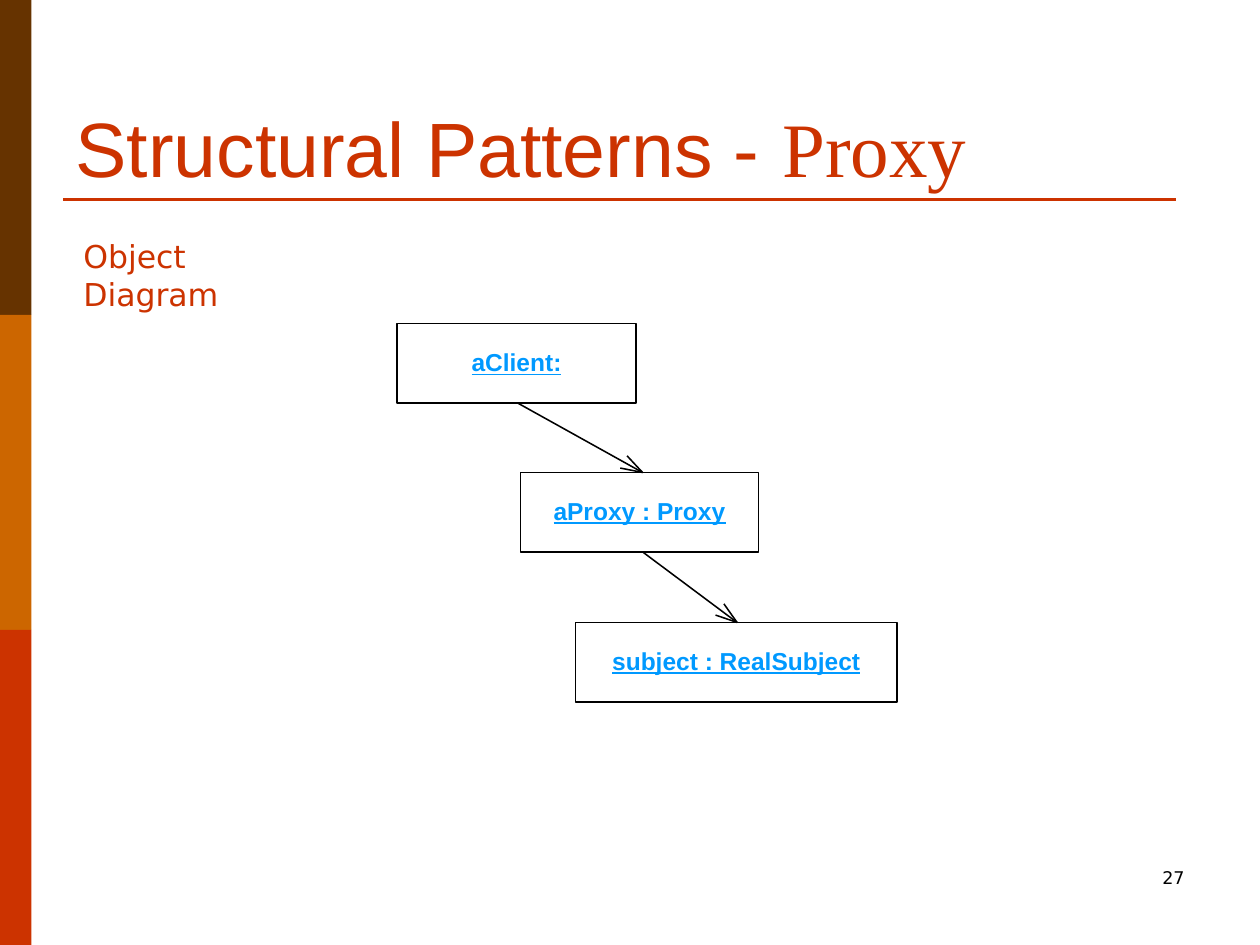
import math

from lxml import etree
from pptx import Presentation
from pptx.dml.color import RGBColor
from pptx.enum.shapes import MSO_CONNECTOR, MSO_SHAPE
from pptx.enum.text import MSO_ANCHOR, MSO_AUTO_SIZE, PP_ALIGN
from pptx.oxml.ns import qn
from pptx.util import Pt

RECTANGLE = MSO_SHAPE.RECTANGLE
STRAIGHT = MSO_CONNECTOR.STRAIGHT
LEFT, CENTER, RIGHT = PP_ALIGN.LEFT, PP_ALIGN.CENTER, PP_ALIGN.RIGHT
TOP, MIDDLE, BOTTOM = MSO_ANCHOR.TOP, MSO_ANCHOR.MIDDLE, MSO_ANCHOR.BOTTOM
NO_FIT = MSO_AUTO_SIZE.NONE

RED, BLACK, WHITE, BLUE = "CC3300", "000000", "FFFFFF", "0099FF"
BAND_COLORS = ["663300", "CC6600", RED]
OUTLINE = 0.88
HEAD_LENGTH = 13
HEAD_ANGLE = math.radians(18)

TITLE_FONT = {"name": "Arial", "size": Pt(44)}
PROXY_FONT = {"name": "Times New Roman", "size": Pt(44)}
CAPTION_FONT = {"name": "DejaVu Sans", "size": Pt(18)}
NUMBER_FONT = {"name": "DejaVu Sans", "size": Pt(10)}
OBJECT_FONT = {"name": "Arial", "size": Pt(14), "bold": True, "underline": True}

OBJECTS = [
    ("aClient:", (226.8, 185, 136.8, 45.4)),
    ("aProxy : Proxy", (297.4, 270, 136.1, 45.4)),
    ("subject : RealSubject", (329, 355.7, 183.6, 45.4)),
]
ARROWS = [
    ((296, 230.4), (367.2, 270)),
    ((367.2, 315.4), (421.2, 355.7)),
]


def paint(target, color):
    """Give a fill or line format a solid colour."""
    target.solid()
    target.fore_color.rgb = RGBColor.from_string(color)


def points(values):
    """Convert a sequence of numbers to lengths in points."""
    return [Pt(value) for value in values]


def write(frame, spans, color, align=LEFT, anchor=TOP, wrap=True):
    """Write formatted spans as the single paragraph of a text frame."""
    settings = {"word_wrap": wrap, "auto_size": NO_FIT, "vertical_anchor": anchor}
    for name, value in settings.items():
        setattr(frame, name, value)
    para = frame.paragraphs[0]
    para.alignment = align
    for text, style in spans:
        span = para.add_run()
        span.text = text
        for name, value in style.items():
            setattr(span.font, name, value)
        span.font.color.rgb = RGBColor.from_string(color)


def add_box(page, area, fill):
    """Add a plain filled rectangle without an outline."""
    box = page.shapes.add_shape(RECTANGLE, *points(area))
    box.shadow.inherit = False
    paint(box.fill, fill)
    box.line.fill.background()
    return box


def add_line(page, start, end, color, width):
    """Add a straight connector without a shadow."""
    line = page.shapes.add_connector(STRAIGHT, *points(start + end))
    paint(line.line.fill, color)
    line.line.width = Pt(width)
    etree.SubElement(line._element.spPr, qn("a:effectLst"))


def add_side_bands(page, area):
    """Stack the coloured bands evenly down the given area."""
    left, top, width, height = area
    step = height / len(BAND_COLORS)
    for index, color in enumerate(BAND_COLORS):
        add_box(page, (left, top + index * step, width, step), color)


def add_title(page, area):
    """Place the title and the rule beneath it."""
    left, top, width, height = area
    title = page.shapes.title
    title.left, title.top, title.width, title.height = points(area)
    spans = [("Structural Patterns - ", TITLE_FONT), ("Proxy", PROXY_FONT)]
    write(title.text_frame, spans, RED, anchor=BOTTOM)
    base = top + height
    add_line(page, (left, base), (left + width + 24, base), RED, 1.5)


def add_text(page, area, text, style, color, align=LEFT):
    """Add a wrapping text box."""
    box = page.shapes.add_textbox(*points(area))
    write(box.text_frame, [(text, style)], color, align)


def add_object(page, area, name):
    """Add an outlined object box with its underlined name."""
    box = add_box(page, area, WHITE)
    paint(box.line.fill, BLACK)
    box.line.width = Pt(OUTLINE)
    frame = box.text_frame
    insets = {"margin_left": 0, "margin_top": 0, "margin_right": 0, "margin_bottom": 2}
    for side, value in insets.items():
        setattr(frame, side, Pt(value))
    write(frame, [(name, OBJECT_FONT)], BLUE, CENTER, MIDDLE, wrap=False)


def add_arrow(page, start, end):
    """Add a line that ends in a large open arrowhead."""
    add_line(page, start, end, BLACK, OUTLINE)
    angle = math.atan2(end[1] - start[1], end[0] - start[0])
    barbs = [
        (end[0] - HEAD_LENGTH * math.cos(angle + turn),
         end[1] - HEAD_LENGTH * math.sin(angle + turn))
        for turn in (-HEAD_ANGLE, HEAD_ANGLE)
    ]
    builder = page.shapes.build_freeform(*points(barbs[0]))
    builder.add_line_segments([points(end), points(barbs[1])], close=False)
    head = builder.convert_to_shape()
    head.shadow.inherit = False
    head.fill.background()
    paint(head.line.fill, BLACK)
    head.line.width = Pt(OUTLINE)


def add_diagram(page):
    """Draw the objects and the references between them."""
    for name, area in OBJECTS:
        add_object(page, area, name)
    for start, end in ARROWS:
        add_arrow(page, start, end)


def main():
    """Build the slide and save the deck."""
    deck = Presentation()
    deck.slide_width, deck.slide_height = Pt(720), Pt(540)
    page = deck.slides.add_slide(deck.slide_layouts[5])
    paint(page.background.fill, WHITE)
    add_side_bands(page, (0, 0, 18, 540))
    add_title(page, (36, 42, 612, 72))
    add_text(page, (516, 492, 168, 36), "27", NUMBER_FONT, BLACK, RIGHT)
    add_text(page, (40.5, 132, 147.6, 28.8), "Object Diagram", CAPTION_FONT, RED)
    add_diagram(page)
    deck.save("out.pptx")


if __name__ == "__main__":
    main()
